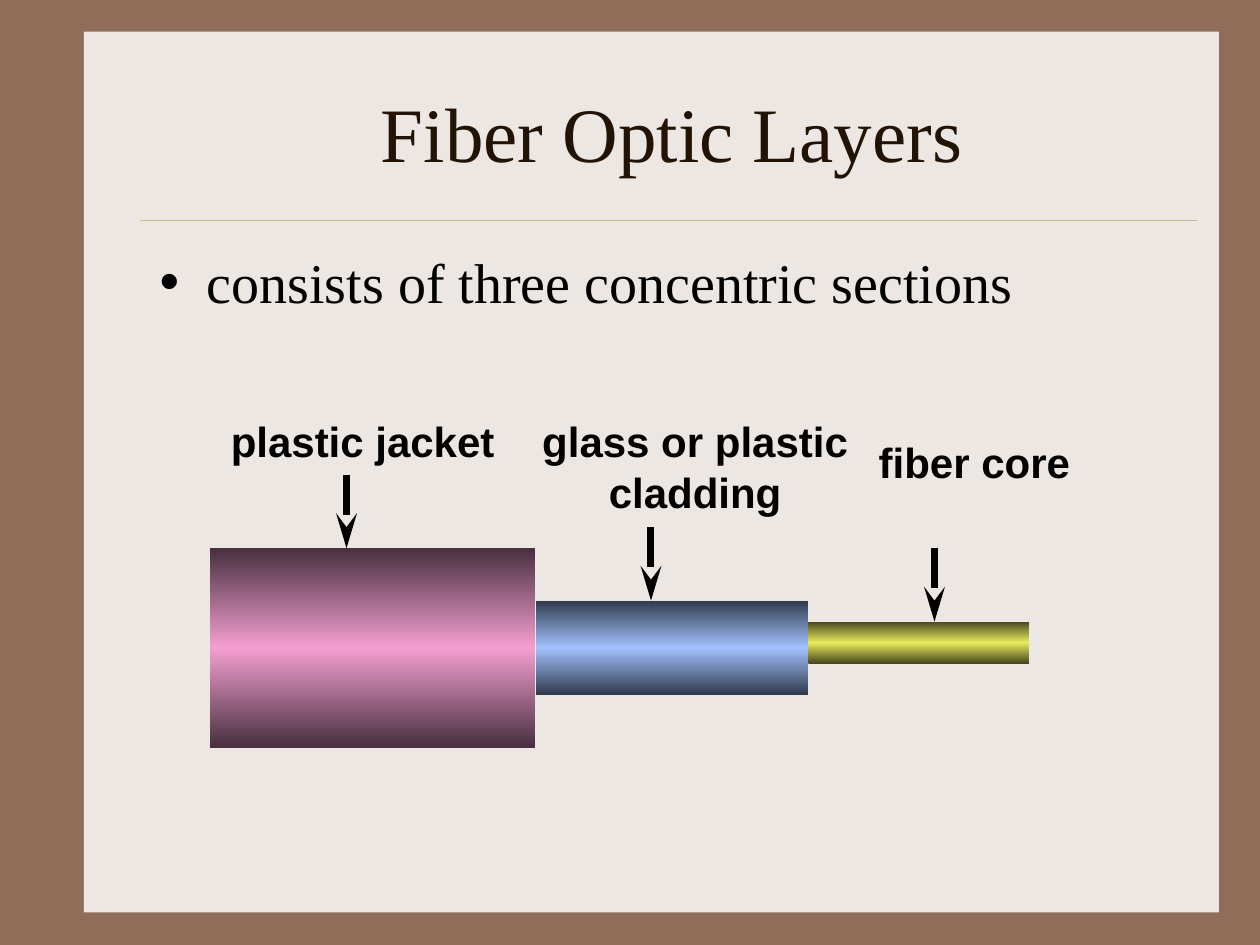
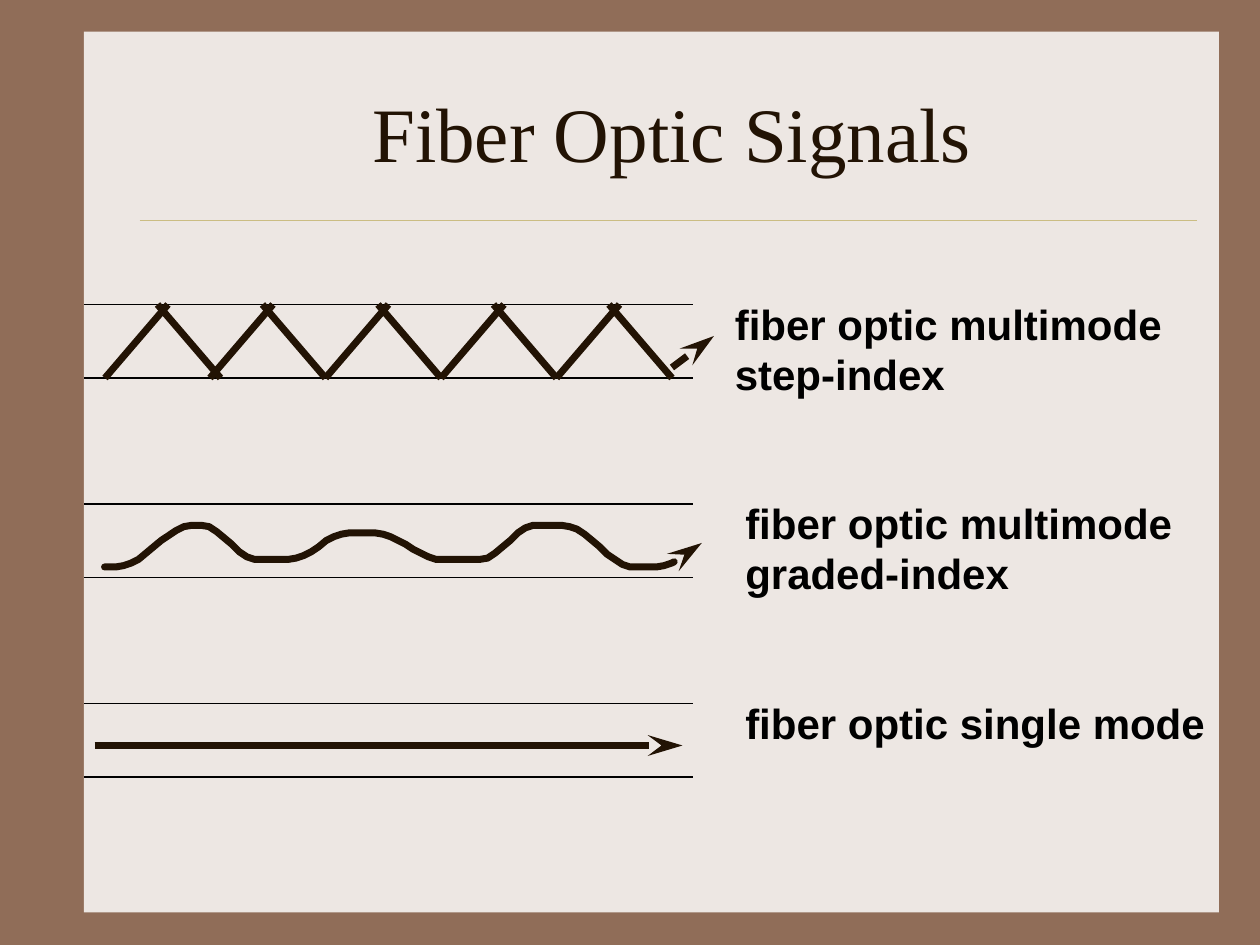
from dataclasses import dataclass
from itertools import pairwise
from math import cos, pi

from lxml import etree
from pptx import Presentation
from pptx.dml.color import RGBColor
from pptx.enum.shapes import MSO_CONNECTOR, MSO_SHAPE
from pptx.enum.text import MSO_ANCHOR, MSO_AUTO_SIZE, PP_ALIGN
from pptx.oxml.ns import qn
from pptx.util import Inches, Pt

LEFT, CENTER = PP_ALIGN.LEFT, PP_ALIGN.CENTER
MIDDLE, TOP = MSO_ANCHOR.MIDDLE, MSO_ANCHOR.TOP
FIT_SHAPE, NO_FIT = MSO_AUTO_SIZE.SHAPE_TO_FIT_TEXT, MSO_AUTO_SIZE.NONE
RECTANGLE, STRAIGHT = MSO_SHAPE.RECTANGLE, MSO_CONNECTOR.STRAIGHT
TITLE_AND_BODY, TITLE_ONLY = 1, 5


@dataclass(frozen=True)
class Theme:
    frame: str = "906D58"
    panel: str = "EDE7E3"
    rule: str = "CBBD83"
    ink: str = "221304"
    black: str = "000000"
    serif: str = "Times New Roman"
    sans: str = "Arial"
    title_size: int = 44
    body_size: int = 32
    label_size: int = 24
    ray_width: float = 4
    wall_width: float = 1
    rule_width: float = 0.26


THEME = Theme()

LAYERS_TITLE = "Fiber Optic Layers"
LAYERS_POINTS = ["consists of three concentric sections"]
LAYERS = [
    dict(label=["plastic jacket"], label_at=(20.8, 39), label_width=27.6, align=LEFT,
         arrow=33, width=31, top=52.2, height=19, edge="482F3E", glow="F39FD1"),
    dict(label=["glass or plastic", "cladding"], label_at=(50.4, 39), label_width=31.6,
         align=CENTER, arrow=62, width=26, top=57.2, height=9, edge="303A4C", glow="A2C1FE"),
    dict(label=["fiber core"], label_at=(82.5, 41), label_width=20.6, align=CENTER,
         arrow=89, width=21, top=59.2, height=4, edge="46461C", glow="EAEC5E"),
]
SIGNALS_TITLE = "Fiber Optic Signals"
SIGNALS = [
    dict(label=["fiber optic multimode", "step-index"], label_left=68.8, label_width=43.1),
    dict(label=["fiber optic multimode", "graded-index"], label_left=69.8, label_width=43.1),
    dict(label=["fiber optic single mode"], label_left=69.8, label_width=46.2),
]

# The grid unit is a twelfth of an inch.
UNITS_PER_INCH = 12
PANEL = (8, 3, 108.1, 83.9)
RULE = (13.3, 21, 114, 21)
TITLE_BOX = (14, 5, 100, 15)
BODY_BOX = (14, 23, 100, 54)
LABEL_LINE, LABEL_PADDING, LABEL_RISE = 4.8, 1.2, 1.2

LAYERS_LEFT, POINTER_LENGTH = 20, 7

FIBER_LEFT, FIBER_RIGHT = PANEL[0], 66
FIBER_TOP, FIBER_HEIGHT, FIBER_PITCH = 29, 7, 19
STEP_TOP, GRADED_TOP, SINGLE_TOP = (FIBER_TOP + row * FIBER_PITCH for row in range(3))

BOUNCE_SPAN, RAY_RUN = 11, 6
BOUNCE_STARTS = [10, *range(20, 54, BOUNCE_SPAN)]
EXIT_RUN, EXIT_RISE = 4, 3
SINGLE_LEFT, SINGLE_RIGHT, SINGLE_DEPTH = 9, 65, 4

# The wave rests on flat crests and troughs (from, to, depth) and swings between them.
WAVE_UNITS_PER_INCH = 100
WAVE_STEP, WAVE_END = 6, 560
WAVE_RESTS = [
    (83, 92, 450),
    (154, 160, 417),
    (204, 229, 444),
    (277, 298, 423),
    (350, 381, 444),
    (425, 446, 417),
    (504, 521, 450),
    (592, 592, 413),
]


def grid(*steps):
    return [Inches(step / UNITS_PER_INCH) for step in steps]


def color(value):
    return RGBColor.from_string(value)


def place(shape, box):
    shape.left, shape.top, shape.width, shape.height = grid(*box)


def write(shape, lines, *, size, font, ink, bold=False, align=LEFT, anchor=TOP,
          before=0, wrap=True, fit=NO_FIT):
    frame = shape.text_frame
    frame.word_wrap, frame.auto_size, frame.vertical_anchor = wrap, fit, anchor
    frame.text = "\n".join(lines)
    for paragraph in frame.paragraphs:
        paragraph.alignment = align
        paragraph.space_before = Pt(before)
        for run in paragraph.runs:
            run.font.size, run.font.name, run.font.bold = Pt(size), font, bold
            run.font.color.rgb = color(ink)


def add_label(slide, lines, left, top, width, align=LEFT):
    height = len(lines) * LABEL_LINE + LABEL_PADDING
    write(slide.shapes.add_textbox(*grid(left, top, width, height)), lines,
          size=THEME.label_size, font=THEME.sans, ink=THEME.black, bold=True,
          align=align, wrap=False, fit=FIT_SHAPE)


def style_line(shape, ink, width, arrow=False, rounded=False):
    shape.line.color.rgb = color(ink)
    shape.line.width = Pt(width)
    outline = shape.line._get_or_add_ln()
    if rounded:
        outline.set("cap", "rnd")
        etree.SubElement(outline, qn("a:round"))
    if arrow:
        etree.SubElement(outline, qn("a:tailEnd"), type="stealth", w="med", len="lg")


def add_line(slide, ends, ink, width, arrow=False):
    line = slide.shapes.add_connector(STRAIGHT, *grid(*ends))
    style_line(line, ink, width, arrow)
    etree.SubElement(line.element.spPr, qn("a:effectLst"))
    return line


def add_ray(slide, *ends, ink=THEME.ink, arrow=False):
    add_line(slide, ends, ink, THEME.ray_width, arrow)


def add_block(slide, box):
    block = slide.shapes.add_shape(RECTANGLE, *grid(*box))
    block.shadow.inherit = False
    block.line.fill.background()
    return block


def shade(block, edge, glow):
    block.fill.gradient()
    block.fill.gradient_angle = 90
    stops = block.element.spPr.find(qn("a:gradFill")).find(qn("a:gsLst"))
    for stop in list(stops):
        stops.remove(stop)
    for percent, tone in ((0, edge), (50, glow), (100, edge)):
        stop = etree.SubElement(stops, qn("a:gs"), pos=str(percent * 1000))
        etree.SubElement(stop, qn("a:srgbClr"), val=tone)


def dress_master(deck, slide):
    master = deck.slide_master
    master.background.fill.solid()
    master.background.fill.fore_color.rgb = color(THEME.frame)
    panel = add_block(slide, PANEL)
    panel.fill.solid()
    panel.fill.fore_color.rgb = color(THEME.panel)
    rule = add_line(slide, RULE, THEME.rule, THEME.rule_width)
    for order, part in enumerate((panel, rule)):
        part.element.xpath(".//p:cNvPr")[0].set("id", str(100 + order))
        master.shapes.element.insert(2 + order, part.element)


def add_slide(deck, layout, title):
    slide = deck.slides.add_slide(deck.slide_layouts[layout])
    place(slide.shapes.title, TITLE_BOX)
    write(slide.shapes.title, [title], size=THEME.title_size, font=THEME.serif,
          ink=THEME.ink, align=CENTER, anchor=MIDDLE)
    return slide


def draw_layers(slide):
    left = LAYERS_LEFT
    for layer in LAYERS:
        top, arrow = layer["top"], layer["arrow"]
        block = add_block(slide, (left, top, layer["width"], layer["height"]))
        shade(block, layer["edge"], layer["glow"])
        add_ray(slide, arrow, top - POINTER_LENGTH, arrow, top, ink=THEME.black, arrow=True)
        add_label(slide, layer["label"], *layer["label_at"], layer["label_width"], layer["align"])
        left += layer["width"]


def draw_fibers(slide):
    for signal, top in zip(SIGNALS, (STEP_TOP, GRADED_TOP, SINGLE_TOP)):
        for wall in (top, top + FIBER_HEIGHT):
            add_line(slide, (FIBER_LEFT, wall, FIBER_RIGHT, wall), THEME.black, THEME.wall_width)
        add_label(slide, signal["label"], signal["label_left"], top - LABEL_RISE,
                  signal["label_width"])


def draw_step_index(slide):
    top, bottom = STEP_TOP, STEP_TOP + FIBER_HEIGHT
    for start in BOUNCE_STARTS:
        end = start + BOUNCE_SPAN
        add_ray(slide, start, bottom, start + RAY_RUN, top)
        add_ray(slide, end, bottom, end - RAY_RUN, top)
    exit_top = bottom - 1
    add_ray(slide, end, exit_top, end + EXIT_RUN, exit_top - EXIT_RISE, arrow=True)


def wave_points():
    points = []
    for (left, right, depth), (next_left, _, next_depth) in pairwise(WAVE_RESTS):
        points.append((left, depth))
        for x in range(right, min(next_left, WAVE_END + 1), WAVE_STEP):
            progress = (x - right) / (next_left - right)
            swing = (1 - cos(pi * progress)) / 2
            points.append((x, round(depth + (next_depth - depth) * swing)))
    return points


def draw_graded_index(slide):
    start, *rest = wave_points()
    builder = slide.shapes.build_freeform(*start, scale=Inches(1) / WAVE_UNITS_PER_INCH)
    builder.add_line_segments(rest, close=False)
    wave = builder.convert_to_shape()
    wave.shadow.inherit = False
    wave.fill.background()
    style_line(wave, THEME.ink, THEME.ray_width, arrow=True, rounded=True)


def draw_single_mode(slide):
    depth = SINGLE_TOP + SINGLE_DEPTH
    add_ray(slide, SINGLE_LEFT, depth, SINGLE_RIGHT, depth, arrow=True)


deck = Presentation()
deck.slide_width, deck.slide_height = Inches(10), Inches(7.5)

layers_slide = add_slide(deck, TITLE_AND_BODY, LAYERS_TITLE)
dress_master(deck, layers_slide)
points_body = layers_slide.placeholders[1]
place(points_body, BODY_BOX)
write(points_body, LAYERS_POINTS, size=THEME.body_size, font=THEME.serif,
      ink=THEME.black, before=8)
draw_layers(layers_slide)

signals_slide = add_slide(deck, TITLE_ONLY, SIGNALS_TITLE)
draw_fibers(signals_slide)
draw_step_index(signals_slide)
draw_graded_index(signals_slide)
draw_single_mode(signals_slide)

deck.save("out.pptx")
